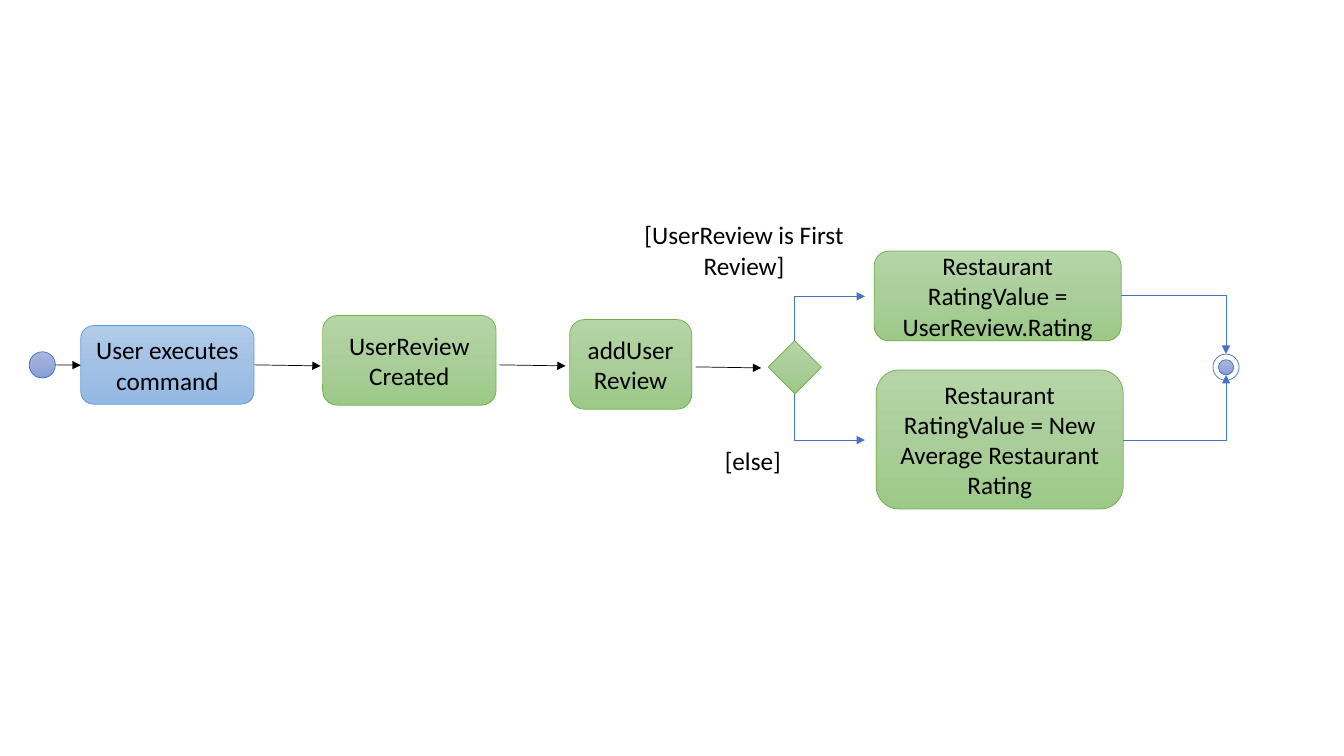
from copy import deepcopy

from lxml import etree
from pptx import Presentation
from pptx.dml.color import RGBColor
from pptx.enum.shapes import MSO_CONNECTOR, MSO_SHAPE
from pptx.enum.text import MSO_ANCHOR, MSO_AUTO_SIZE, PP_ALIGN
from pptx.oxml.ns import qn
from pptx.util import Inches, Pt

ROUNDED, OVAL, DIAMOND = MSO_SHAPE.ROUNDED_RECTANGLE, MSO_SHAPE.OVAL, MSO_SHAPE.DIAMOND
STRAIGHT, ELBOW = MSO_CONNECTOR.STRAIGHT, MSO_CONNECTOR.ELBOW
CENTER, LEFT = PP_ALIGN.CENTER, PP_ALIGN.LEFT
MIDDLE, TOP = MSO_ANCHOR.MIDDLE, MSO_ANCHOR.TOP
FIT_SHAPE = MSO_AUTO_SIZE.SHAPE_TO_FIT_TEXT

SLIDE_W, SLIDE_H = Inches(13.33), Inches(7.5)
CELL = SLIDE_H / 22.5
LINE_WIDTH = Pt(0.5)
COLORS = {"ink": "000000", "paper": "FFFFFF", "flow": "4472C4"}
THEMES = {
    "node": {"line": "4472C4", "stops": ("A8B7DF", "9AABD9", "889ED7")},
    "command": {"line": "5B9BD5", "stops": ("B1CBE9", "A3C1E5", "93B9E4")},
    "action": {"line": "70AD47", "stops": ("B5D5A7", "AACE9A", "9CC987")},
}
STEPS = [
    ("User executes command", "command", (2.4, 9.69, 5.16, 2.34)),
    ("UserReview Created", "action", (9.6, 9.39, 5.16, 2.67)),
    ("addUserReview", "action", (16.95, 9.51, 3.63, 2.67)),
    ("Restaurant\nRatingValue = UserReview.Rating", "action", (26.01, 7.47, 7.35, 2.67)),
    ("Restaurant\nRatingValue = New Average Restaurant Rating", "action",
     (26.07, 11.01, 7.35, 4.14)),
]
GUARDS = [
    ("[UserReview is First Review]", CENTER, (18.75, 6.39, 6.78, 2.13)),
    ("[else]", LEFT, (21.27, 13.11, 2.79, 1.2)),
]
SEQUENCE = [
    ((1.65, 10.86), (2.4, 10.87)),
    ((7.56, 10.86), (9.54, 10.89)),
    ((14.85, 10.86), (16.83, 10.89)),
    ((20.7, 10.92), (22.65, 10.95)),
]
BRANCHES = [((23.65, 10.14), (25.74, 8.82)), ((23.65, 11.72), (25.74, 13.1))]
MERGES = [((33.36, 8.8), (36.48, 10.53)), ((33.42, 13.1), (36.48, 11.16))]
START_CENTER, END_CENTER, DECISION_CENTER = (1.26, 10.86), (36.48, 10.93), (23.65, 10.93)
NODE_SIZE, END_DOT_SIZE, DECISION_SIZE = 0.78, 0.45, 1.58


def cells(*lengths):
    return [round(length * CELL) for length in lengths]


def rgb(value):
    return RGBColor.from_string(value)


def write(shape, text, size=18, font="Calibri", color=COLORS["ink"], align=CENTER, anchor=MIDDLE):
    frame = shape.text_frame
    frame.word_wrap = True
    frame.vertical_anchor = anchor
    frame.text = text
    for paragraph in frame.paragraphs:
        paragraph.alignment = align
        for run in paragraph.runs:
            run.font.size = Pt(size)
            run.font.name = font
            run.font.color.rgb = rgb(color)


def shade(fill, stops_list, stops):
    stops_list.insert(1, deepcopy(stops_list[0]))
    for index, (stop, color) in enumerate(zip(fill.gradient_stops, stops)):
        stop.position = index / (len(stops) - 1)
        stop.color.rgb = rgb(color)


def add_block(shapes, preset, box, theme, plain_fill=None):
    block = shapes.add_shape(preset, *cells(*box))
    block.shadow.inherit = False
    if plain_fill:
        block.fill.solid()
        block.fill.fore_color.rgb = rgb(plain_fill)
    else:
        block.fill.gradient()
        block.fill.gradient_angle = 270
        shade(block.fill, next(block.element.iter(qn("a:gsLst"))), THEMES[theme]["stops"])
    block.line.color.rgb = rgb(THEMES[theme]["line"])
    block.line.width = LINE_WIDTH
    return block


def add_centered(shapes, preset, center, size, theme, plain_fill=None):
    x, y = center
    return add_block(shapes, preset, (x - size / 2, y - size / 2, size, size), theme, plain_fill)


def add_arrow(shapes, kind, begin, end, color):
    arrow = shapes.add_connector(kind, *cells(*begin, *end))
    arrow.line.color.rgb = rgb(color)
    arrow.line.width = LINE_WIDTH
    properties = arrow.element.spPr
    etree.SubElement(properties.find(qn("a:ln")), qn("a:tailEnd"), type="triangle")
    etree.SubElement(properties, qn("a:effectLst"))
    if kind == ELBOW:
        properties.find(qn("a:prstGeom")).set("prst", "bentConnector2")
    return arrow


def add_branch(shapes, begin, end):
    center_x, center_y = (begin[0] + end[0]) / 2, (begin[1] + end[1]) / 2
    half_run, half_rise = (end[0] - begin[0]) / 2, abs(end[1] - begin[1]) / 2
    downward = end[1] > begin[1]
    offset = half_run if downward else -half_run
    branch = add_arrow(shapes, ELBOW, (center_x + half_rise, center_y - offset),
                       (center_x - half_rise, center_y + offset), COLORS["flow"])
    degrees = 270 if downward else 90
    branch.element.spPr.find(qn("a:xfrm")).set("rot", str(degrees * 60000))


def add_guard(shapes, text, align, box):
    guard = shapes.add_textbox(*cells(*box))
    write(guard, text, align=align, anchor=TOP)
    guard.text_frame.auto_size = FIT_SHAPE


def main():
    deck = Presentation()
    deck.slide_width, deck.slide_height = SLIDE_W, SLIDE_H
    shapes = deck.slides.add_slide(deck.slide_layouts[6]).shapes

    add_centered(shapes, OVAL, START_CENTER, NODE_SIZE, "node")
    add_centered(shapes, DIAMOND, DECISION_CENTER, DECISION_SIZE, "action")
    for text, theme, box in STEPS:
        write(add_block(shapes, ROUNDED, box, theme), text)
    for text, align, box in GUARDS:
        add_guard(shapes, text, align, box)

    end_node = shapes.add_group_shape().shapes
    add_centered(end_node, OVAL, END_CENTER, NODE_SIZE, "node", COLORS["paper"])
    add_centered(end_node, OVAL, END_CENTER, END_DOT_SIZE, "node")

    for begin, end in SEQUENCE:
        add_arrow(shapes, STRAIGHT, begin, end, COLORS["ink"])
    for begin, end in BRANCHES:
        add_branch(shapes, begin, end)
    for begin, end in MERGES:
        add_arrow(shapes, ELBOW, begin, end, COLORS["flow"])

    deck.save("out.pptx")


main()
